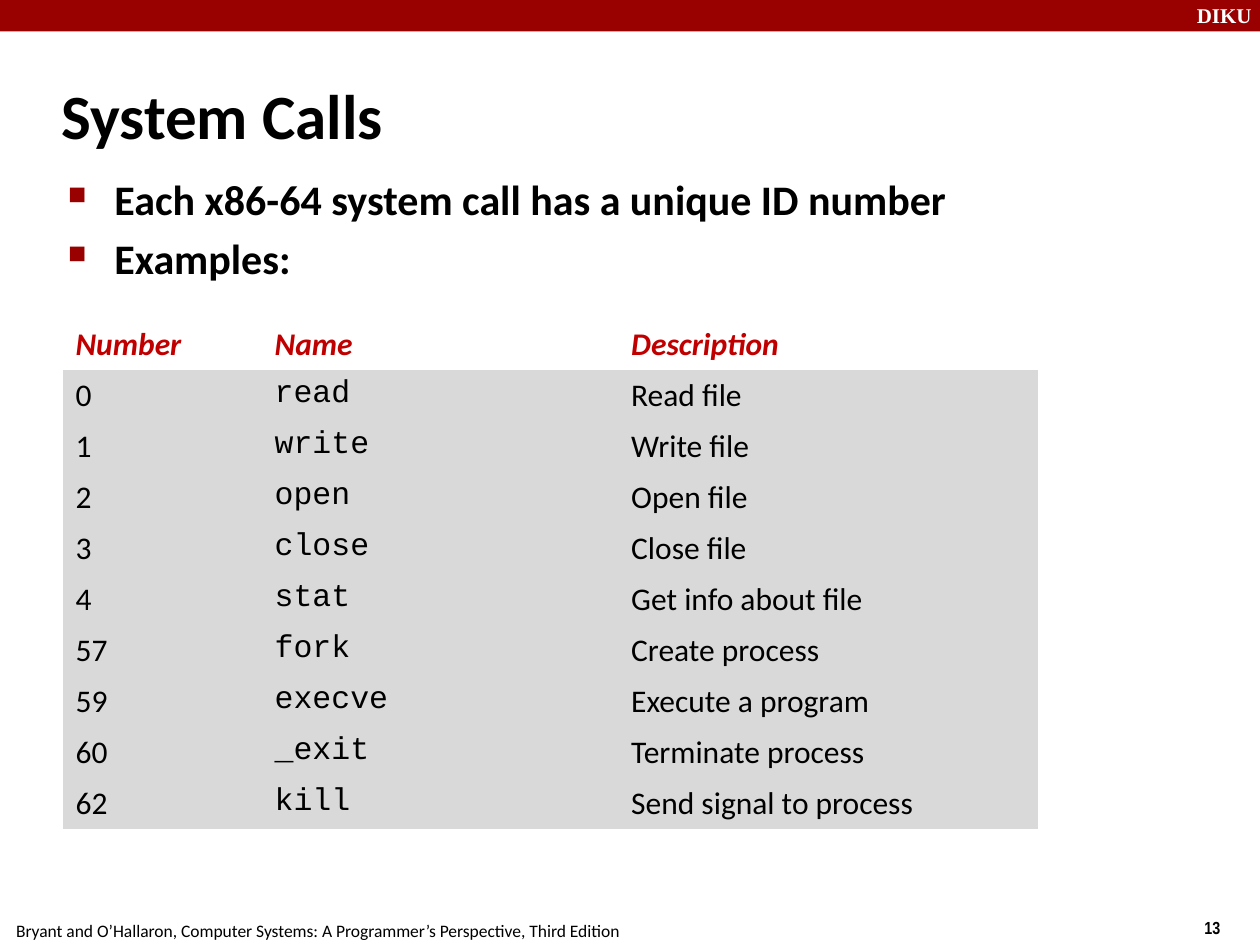
from dataclasses import dataclass

import pptx
import pptx.dml.color
import pptx.enum.shapes
import pptx.enum.text
import pptx.oxml
import pptx.oxml.ns
import pptx.util

Inches = pptx.util.Inches
Pt = pptx.util.Pt
MSO_ANCHOR = pptx.enum.text.MSO_ANCHOR

DARK_RED = "990000"
HEADER_RED = "C00000"
GREY = "D9D9D9"
WHITE = "FFFFFF"
BLACK = "000000"


@dataclass
class Box:
    left: float
    top: float
    width: float
    height: float

    def lengths(self) -> tuple:
        return tuple(Inches(n) for n in (self.left, self.top, self.width, self.height))


@dataclass
class SystemCall:
    number: int
    name: str
    description: str


SYSTEM_CALLS = [
    SystemCall(0, "read", "Read file"),
    SystemCall(1, "write", "Write file"),
    SystemCall(2, "open", "Open file"),
    SystemCall(3, "close", "Close file"),
    SystemCall(4, "stat", "Get info about file"),
    SystemCall(57, "fork", "Create process"),
    SystemCall(59, "execve", "Execute a program"),
    SystemCall(60, "_exit", "Terminate process"),
    SystemCall(62, "kill", "Send signal to process"),
]


def set_fill(target, color: str) -> None:
    target.fill.solid()
    target.fill.fore_color.rgb = pptx.dml.color.RGBColor.from_string(color)


def write_text(paragraph, text: str, *, size: float, font: str = "Calibri",
               color: str = BLACK, bold: bool = False, italic: bool = False) -> None:
    run = paragraph.add_run()
    run.text = text
    run.font.size = Pt(size)
    run.font.name = font
    run.font.bold = bold
    run.font.italic = italic
    run.font.color.rgb = pptx.dml.color.RGBColor.from_string(color)


def add_text_frame(slide, box: Box, anchor=MSO_ANCHOR.TOP):
    frame = slide.shapes.add_textbox(*box.lengths()).text_frame
    frame.word_wrap = True
    frame.vertical_anchor = anchor
    return frame


def add_label(slide, box: Box, text: str, *, anchor=MSO_ANCHOR.TOP, **text_format) -> None:
    frame = add_text_frame(slide, box, anchor)
    write_text(frame.paragraphs[0], text, **text_format)


def set_bullet(paragraph) -> None:
    properties = paragraph._p.get_or_add_pPr()
    properties.set("marL", str(Inches(0.38)))
    properties.set("indent", str(Inches(-0.37)))
    namespace = pptx.oxml.ns.nsdecls("a")
    for xml in (
        f'<a:buClr {namespace}><a:srgbClr val="{DARK_RED}"/></a:buClr>',
        f'<a:buSzPct {namespace} val="60000"/>',
        f'<a:buChar {namespace} char="■"/>',
    ):
        properties.append(pptx.oxml.parse_xml(xml))


def add_bullets(slide, box: Box, items: list[str]) -> None:
    frame = add_text_frame(slide, box)
    for index, item in enumerate(items):
        paragraph = frame.add_paragraph() if index else frame.paragraphs[0]
        set_bullet(paragraph)
        if index:
            paragraph.space_before = Pt(4.8)
        write_text(paragraph, item, size=24, bold=True)


def remove_borders(cell) -> None:
    properties = cell._tc.get_or_add_tcPr()
    namespace = pptx.oxml.ns.nsdecls("a")
    for side in ("lnL", "lnR", "lnT", "lnB"):
        properties.append(pptx.oxml.parse_xml(
            f'<a:{side} {namespace} w="0"><a:noFill/></a:{side}>'))


def add_call_table(slide, box: Box, widths: list[float], calls: list[SystemCall]) -> None:
    row_count = len(calls) + 1
    table = slide.shapes.add_table(row_count, len(widths), *box.lengths()).table
    table.first_row = False
    table.horz_banding = False
    for column, width in zip(table.columns, widths):
        column.width = Inches(width)
    for row in table.rows:
        row.height = Inches(box.height / row_count)
    rows = [("Number", "Name", "Description")]
    rows += [(str(call.number), call.name, call.description) for call in calls]
    for row_index, values in enumerate(rows):
        for column_index, value in enumerate(values):
            cell = table.cell(row_index, column_index)
            paragraph = cell.text_frame.paragraphs[0]
            remove_borders(cell)
            if row_index == 0:
                set_fill(cell, WHITE)
                write_text(paragraph, value, size=18, color=HEADER_RED, bold=True, italic=True)
            else:
                set_fill(cell, GREY)
                font = "Courier New" if column_index == 1 else "Calibri"
                write_text(paragraph, value, size=18, font=font)


def add_banner(slide, box: Box) -> None:
    shape = slide.shapes.add_shape(pptx.enum.shapes.MSO_SHAPE.RECTANGLE, *box.lengths())
    shape.shadow.inherit = False
    set_fill(shape, DARK_RED)
    shape.line.fill.background()


def main() -> None:
    presentation = pptx.Presentation()
    presentation.slide_width = Inches(10)
    presentation.slide_height = Inches(7.5)
    slide = presentation.slides.add_slide(presentation.slide_layouts[6])
    set_fill(slide.background, WHITE)

    add_banner(slide, Box(0, 0, 10, 0.25))
    add_label(slide, Box(9.4, -0.03, 0.67, 0.3), "DIKU",
              size=12, font="Times New Roman", color=WHITE, bold=True)
    add_label(slide, Box(9.46, 7.23, 0.75, 0.27), "13",
              size=10, font="Arial Narrow", bold=True)
    add_label(slide, Box(0.03, 7.25, 5.1, 0.27),
              "Bryant and O’Hallaron, Computer Systems: A Programmer’s Perspective, Third Edition",
              size=10)
    add_label(slide, Box(0.39, 0.49, 8.3, 0.83), "System Calls",
              size=36, bold=True, anchor=MSO_ANCHOR.MIDDLE)
    add_call_table(slide, Box(0.5, 2.53, 7.75, 4.05), [1.58, 2.83, 3.33], SYSTEM_CALLS)
    add_bullets(slide, Box(0.43, 1.33, 8.64, 5.83),
                ["Each x86-64 system call has a unique ID number", "Examples:"])
    presentation.save("out.pptx")


if __name__ == "__main__":
    main()
